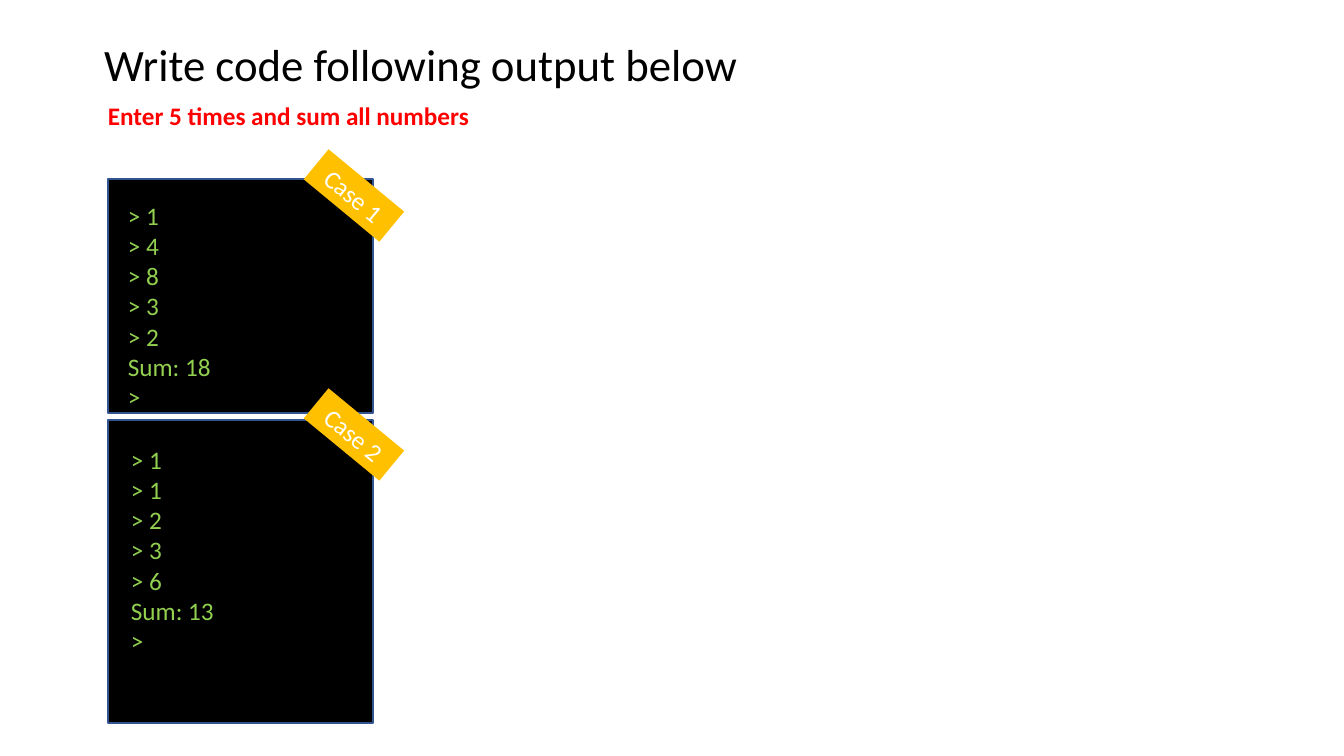
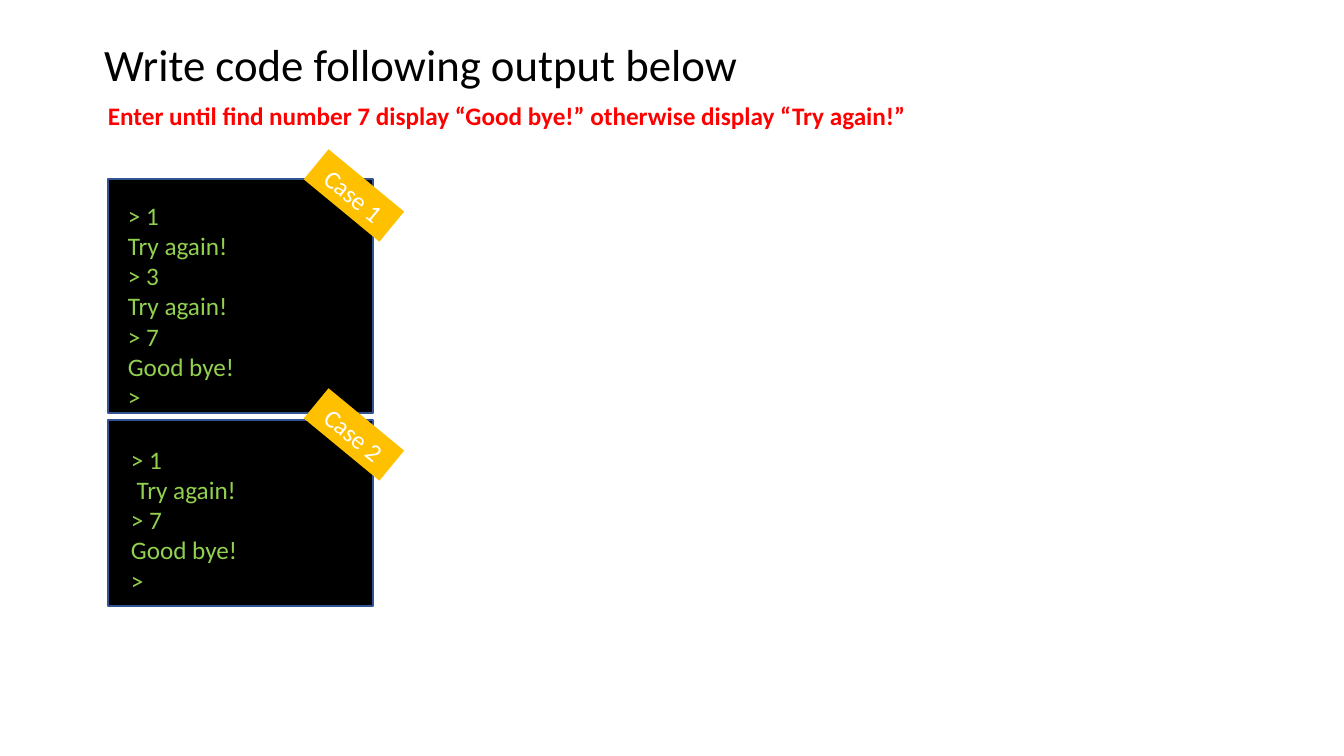
from pptx import Presentation
from pptx import util as u
from pptx.dml.color import RGBColor
from pptx.enum import shapes, text

SCALE = 914400 / 100.8
FONT = "Calibri"
COLORS = {
    "ink": "000000",
    "task": "FF0000",
    "console": "000000",
    "border": "325491",
    "output": "92D050",
    "tag": "FFC000",
    "tag_text": "FFFFFF",
}
HEADING = "Write code following output below"
HEADING_BOX = (94, 32, 660, 64)
TASK_BOX = (98, 95, 819, 40)
CONSOLE_LEFT, CONSOLE_TOP, CONSOLE_WIDTH = 108, 179, 265
CONSOLE_GAP = 7
LINE_HEIGHT, LINES_MARGIN = 30, 13
TAG_SIZE = (98, 39)
TAG_OFFSET = 197
CASE_LAYOUTS = [
    {"inset": (10, 16), "tag_rise": 3},
    {"inset": (13, 19), "tag_rise": 5},
]
EXERCISES = [
    {
        "task": "Enter 5 times and sum all numbers",
        "cases": [
            (234, ["> 1", "> 4", "> 8", "> 3", "> 2", "Sum: 18", ">"]),
            (303, ["> 1", "> 1", "> 2", "> 3", "> 6", "Sum: 13", ">"]),
        ],
    },
    {
        "task": "Enter until find number 7 display “Good bye!” otherwise display “Try again!”",
        "cases": [
            (234, ["> 1", "Try again!", "> 3", "Try again!", "> 7", "Good bye!", ">"]),
            (186, ["> 1", " Try again!", "> 7", "Good bye!", ">"]),
        ],
    },
]


def px(*lengths):
    return [u.Emu(round(length * SCALE)) for length in lengths]


def color(name):
    return RGBColor.from_string(COLORS[name])


def write(holder, lines, ink="ink", size=18, bold=False,
          align=text.PP_ALIGN.LEFT, anchor=text.MSO_ANCHOR.TOP):
    frame = holder.text_frame
    frame.word_wrap = True
    frame.auto_size = text.MSO_AUTO_SIZE.NONE
    frame.vertical_anchor = anchor
    frame.text = "\n".join(lines)
    for paragraph in frame.paragraphs:
        paragraph.alignment = align
        for run in paragraph.runs:
            run.font.name = FONT
            run.font.size = u.Pt(size)
            run.font.bold = bold
            run.font.color.rgb = color(ink)


def add_panel(slide, box, fill, border=None):
    panel = slide.shapes.add_shape(shapes.MSO_SHAPE.RECTANGLE, *px(*box))
    panel.shadow.inherit = False
    panel.fill.solid()
    panel.fill.fore_color.rgb = color(fill)
    if border:
        panel.line.color.rgb = color(border)
        panel.line.width = u.Pt(1)
    else:
        panel.line.fill.background()
    return panel


def add_heading(slide, box):
    heading = slide.shapes.title
    heading.left, heading.top, heading.width, heading.height = px(*box)
    write(heading, [HEADING], size=32)


def add_task(slide, box, task):
    write(slide.shapes.add_textbox(*px(*box)), [task], ink="task", bold=True)


def add_console(slide, box, lines, inset):
    left, top, width, height = box
    add_panel(slide, box, "console", "border")
    lines_height = LINE_HEIGHT * len(lines) + LINES_MARGIN
    output = slide.shapes.add_textbox(
        *px(left + inset[0], top + inset[1], width, lines_height))
    write(output, lines, ink="output")


def add_tag(slide, box, label, rise):
    left, top = box[:2]
    tag = add_panel(slide, (left + TAG_OFFSET, top - rise, *TAG_SIZE), "tag")
    tag.rotation = 39.5
    write(tag, [label], ink="tag_text", align=text.PP_ALIGN.CENTER,
          anchor=text.MSO_ANCHOR.MIDDLE)


def add_exercise(deck, task, cases):
    slide = deck.slides.add_slide(deck.slide_layouts.get_by_name("Title Only"))
    add_heading(slide, HEADING_BOX)
    boxes = []
    top = CONSOLE_TOP
    for (height, lines), layout in zip(cases, CASE_LAYOUTS):
        box = (CONSOLE_LEFT, top, CONSOLE_WIDTH, height)
        add_console(slide, box, lines, layout["inset"])
        boxes.append(box)
        top += height + CONSOLE_GAP
    for number, (box, layout) in enumerate(zip(boxes, CASE_LAYOUTS), 1):
        add_tag(slide, box, f"Case {number}", layout["tag_rise"])
    add_task(slide, TASK_BOX, task)


deck = Presentation()
deck.slide_width, deck.slide_height = px(1344, 756)
for exercise in EXERCISES:
    add_exercise(deck, **exercise)
deck.save("out.pptx")
